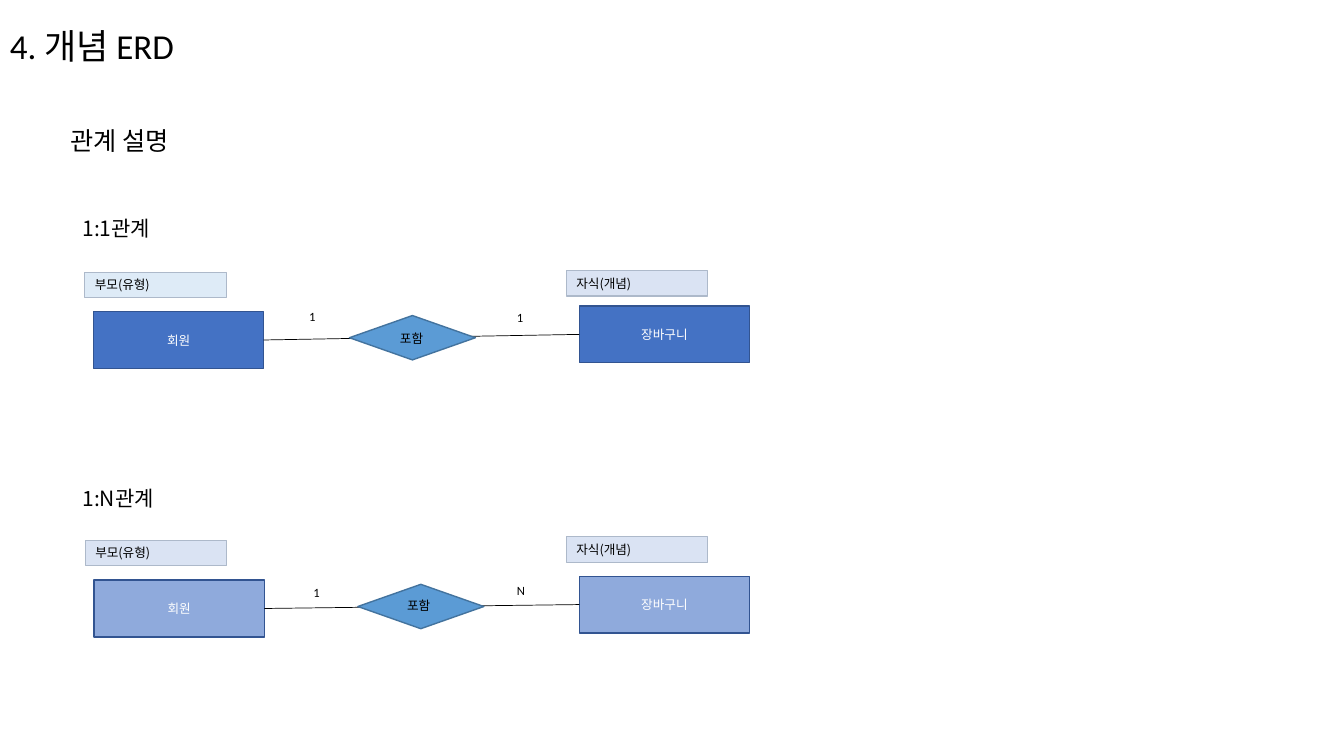
from dataclasses import dataclass

import pptx
import pptx.dml.color
import pptx.enum.shapes
import pptx.enum.text
import pptx.oxml
import pptx.oxml.ns
import pptx.util

Pt = pptx.util.Pt
Shape = pptx.enum.shapes.MSO_SHAPE
Anchor = pptx.enum.text.MSO_ANCHOR
Align = pptx.enum.text.PP_ALIGN
AutoSize = pptx.enum.text.MSO_AUTO_SIZE
KOREAN = "Noto Sans CJK KR"
LATIN = "Calibri"
BLACK, WHITE = "000000", "FFFFFF"


@dataclass
class Spot:
    left: float
    top: float


@dataclass
class Relation:
    heading: str
    heading_top: float
    entity_fill: str
    parent_tag_fill: str
    parent_tag: Spot
    child_tag: Spot
    parent: Spot
    child: Spot
    diamond: Spot
    verb: Spot
    parent_count: Spot
    child_count: Spot
    child_count_text: str


RELATIONS = [
    Relation("1:1관계", 150.5, "4472C4", "DEEBF7",
             parent_tag=Spot(60.7, 194.4), child_tag=Spot(404.6, 193.3),
             parent=Spot(66.8, 222.6), child=Spot(413.8, 218.6),
             diamond=Spot(249.6, 225.4), verb=Spot(278.6, 232.6),
             parent_count=Spot(213.8, 217.4), child_count=Spot(362.2, 217.8),
             child_count_text="1"),
    Relation("1:N관계", 343.4, "8FAADC", "DAE3F3",
             parent_tag=Spot(61, 385.9), child_tag=Spot(404.6, 383.4),
             parent=Spot(67.2, 414.4), child=Spot(413.8, 411.6),
             diamond=Spot(255.6, 417.4), verb=Spot(283.7, 423.4),
             parent_count=Spot(216.7, 414.2), child_count=Spot(362.2, 413),
             child_count_text="N"),
]


def color(value: str) -> pptx.dml.color.RGBColor:
    return pptx.dml.color.RGBColor.from_string(value)


def write(box, text: str, size: float, font: str, ink: str = BLACK,
          align=Align.LEFT, anchor=Anchor.TOP, grow: bool = True, wrap: bool = True) -> None:
    frame = box.text_frame
    frame.text = text
    frame.word_wrap = wrap
    frame.vertical_anchor = anchor
    frame.auto_size = AutoSize.SHAPE_TO_FIT_TEXT if grow else AutoSize.NONE
    para = frame.paragraphs[0]
    para.alignment = align
    span = para.runs[0]
    span.font.size = Pt(size)
    span.font.name = font
    span.font.color.rgb = color(ink)
    east_asian = pptx.oxml.parse_xml(
        f'<a:ea {pptx.oxml.ns.nsdecls("a")} typeface="{KOREAN}"/>')
    span.font._element.find(pptx.oxml.ns.qn("a:latin")).addnext(east_asian)


def add_text(shapes, spot: Spot, width: float, height: float, text: str,
             size: float, font: str, **layout):
    box = shapes.add_textbox(Pt(spot.left), Pt(spot.top), Pt(width), Pt(height))
    write(box, text, size, font, **layout)
    return box


def add_filled(shapes, kind, spot: Spot, width: float, height: float,
               fill: str, line: str, line_width: float):
    box = shapes.add_shape(kind, Pt(spot.left), Pt(spot.top), Pt(width), Pt(height))
    box.shadow.inherit = False
    box.fill.solid()
    box.fill.fore_color.rgb = color(fill)
    box.line.color.rgb = color(line)
    box.line.width = Pt(line_width)
    return box


def add_entity(page, spot: Spot, name: str, fill: str):
    box = add_filled(page.shapes, Shape.RECTANGLE, spot, 121.6, 40.5, fill, "325491", 1)
    write(box, name, 9, KOREAN, WHITE, Align.CENTER, Anchor.MIDDLE, grow=False)
    return box


def add_tag(page, spot: Spot, text: str, fill: str) -> None:
    box = add_filled(page.shapes, Shape.RECTANGLE, spot, 101, 18.2, fill, "ADB9CA", 0.75)
    write(box, text, 9, KOREAN)


def link(page, parent, child) -> None:
    line = page.shapes.add_connector(pptx.enum.shapes.MSO_CONNECTOR.STRAIGHT, 0, 0, 0, 0)
    line.begin_connect(parent, 3)
    line.end_connect(child, 1)
    line.line.color.rgb = color(BLACK)
    line.line.width = Pt(0.5)
    line._element.spPr.append(
        pptx.oxml.parse_xml(f'<a:effectLst {pptx.oxml.ns.nsdecls("a")}/>'))


def draw_relation(page, relation: Relation) -> None:
    parent = add_entity(page, relation.parent, "회원", relation.entity_fill)
    child = add_entity(page, relation.child, "장바구니", relation.entity_fill)
    link(page, parent, child)

    verb_group = page.shapes.add_group_shape().shapes
    add_filled(verb_group, Shape.FLOWCHART_DECISION, relation.diamond, 90, 31.7,
               "5B9BD5", "43739E", 1)
    add_text(verb_group, relation.verb, 49, 19.4, "포함", 9, LATIN, wrap=False)

    for spot, count in ((relation.parent_count, "1"),
                        (relation.child_count, relation.child_count_text)):
        add_text(page.shapes, spot, 28, 18.2, count, 9, LATIN)
    add_text(page.shapes, Spot(51.8, relation.heading_top), 136.8, 25.4,
             relation.heading, 15, KOREAN)
    add_tag(page, relation.child_tag, "자식(개념)", "DAE3F3")
    add_tag(page, relation.parent_tag, "부모(유형)", relation.parent_tag_fill)


def main() -> None:
    deck = pptx.Presentation()
    deck.slide_width, deck.slide_height = Pt(960), Pt(540)
    page = deck.slides.add_slide(deck.slide_layouts[6])
    for relation in RELATIONS:
        draw_relation(page, relation)
    title = add_text(page.shapes, Spot(0, 0), 504, 69, "4. 개념 ERD", 25, LATIN,
                     anchor=Anchor.MIDDLE, grow=False)
    title.text_frame.paragraphs[0].line_spacing = 0.9
    add_text(page.shapes, Spot(43.2, 85.7), 103.7, 29, "관계 설명", 18, KOREAN)
    deck.save("out.pptx")


if __name__ == "__main__":
    main()
